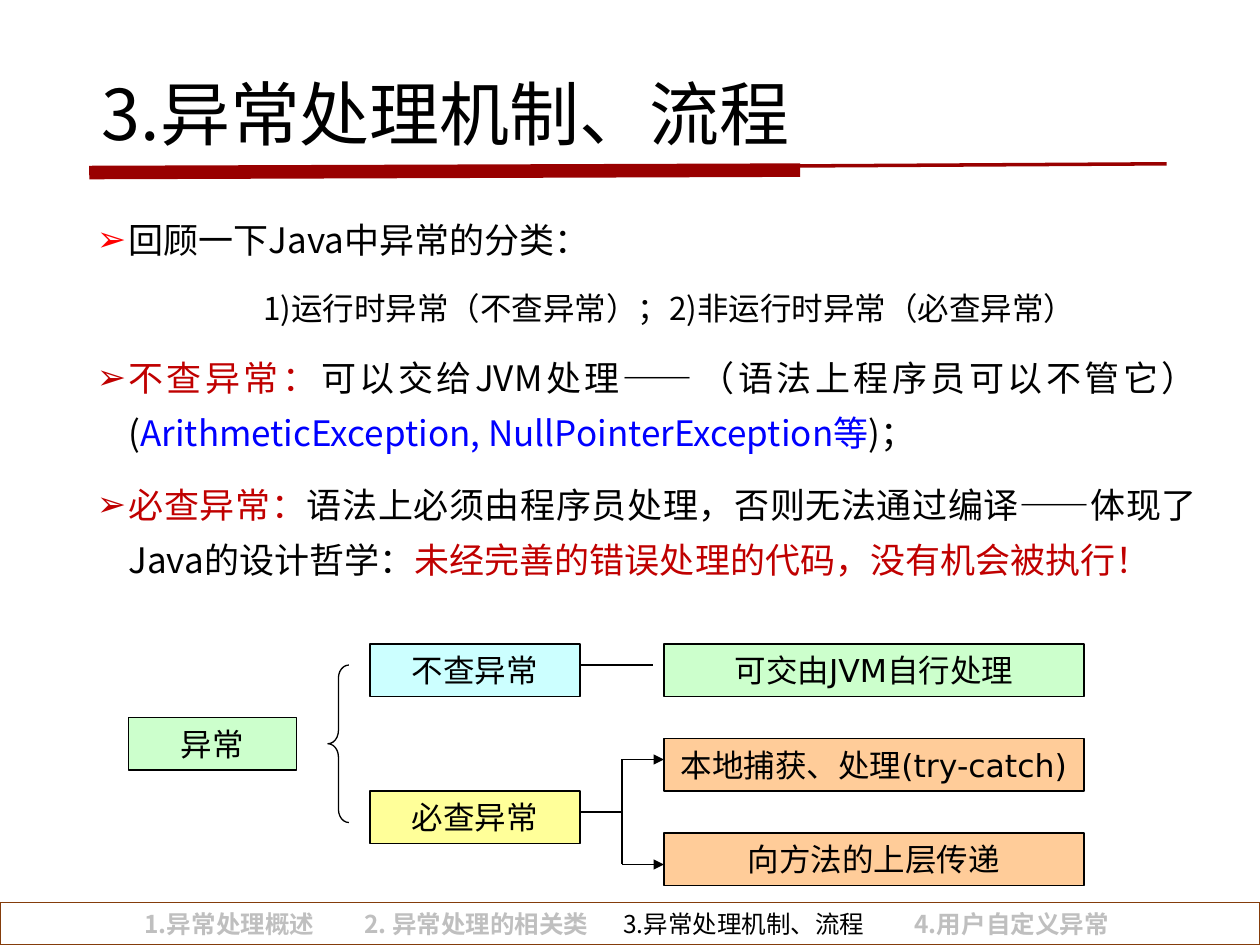
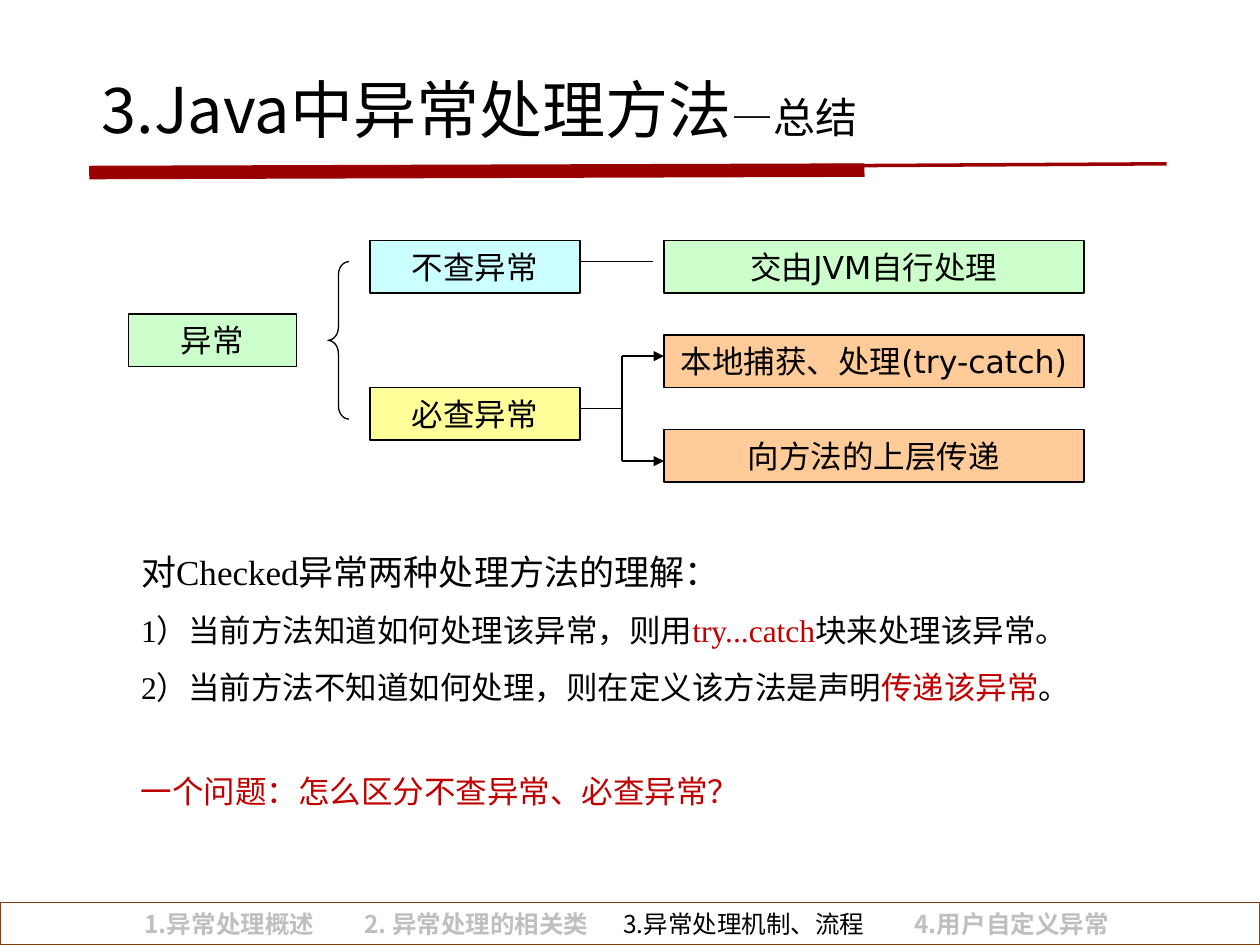
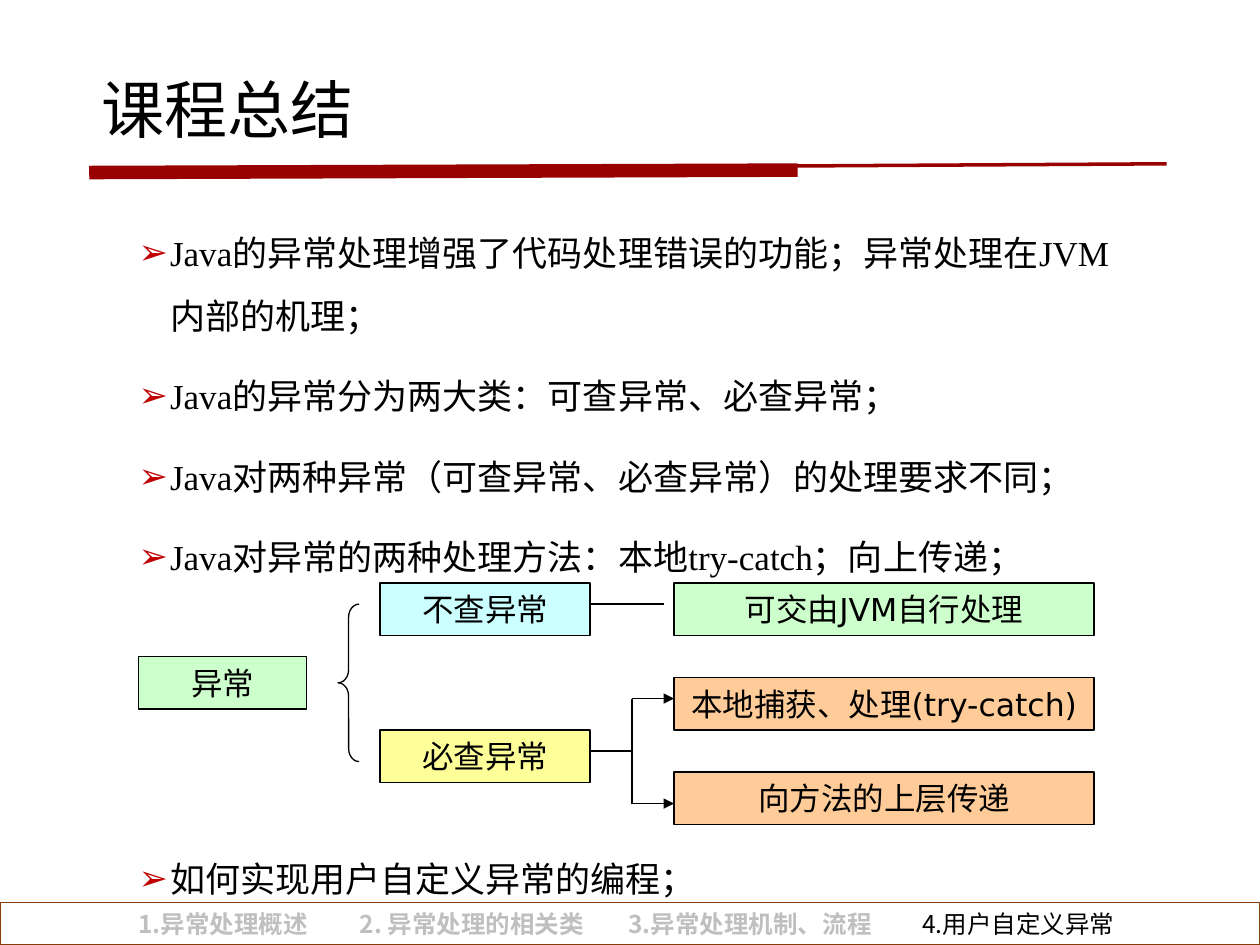
from lxml.etree import SubElement
from pptx import Presentation
from pptx.dml.color import RGBColor
from pptx.enum.shapes import MSO_CONNECTOR as Connector, MSO_SHAPE as Shape
from pptx.enum.text import MSO_ANCHOR as Anchor, MSO_AUTO_SIZE as AutoSize, PP_ALIGN as Align
from pptx.oxml.ns import qn
from pptx.util import Pt

COLORS = {
    "black": "000000", "rule": "990000", "accent": "C00000", "bullet": "FF0000",
    "blue": "0000FF", "muted": "BFBFBF", "footer": "843C0B",
    "green": "CCFFCC", "cyan": "CCFFFF", "yellow": "FFFF99", "orange": "FFCC99",
}
SANS, SERIF, BOX_FONT = "Noto Sans CJK SC", "Times New Roman", "DejaVu Sans"

CHAPTERS = ["1.异常处理概述", "2. 异常处理的相关类", "3.异常处理机制、流程", "4.用户自定义异常"]
# Left edge of the first chapter, then tab stops measured from it
CHAPTER_STOPS = {2: (82.6, [125.5, 273.5, 440]), 3: (79, [126.5, 280, 448])}

# Diagram positions are relative to its top left corner
BOX_HEIGHT = 30
BRANCH_X, OUTCOME_X, FORK_X = 138, 306, 282
LINKS = [
    (258, 12, 300, 12, False),
    (258, 96, FORK_X, 96, False),
    (FORK_X, 66, FORK_X, 126, False),
    (FORK_X, 66, OUTCOME_X, 66, True),
    (FORK_X, 126, OUTCOME_X, 126, True),
]

PLAIN = {"left": 0, "indent": 0}
BULLET = {"left": 18, "indent": -18, "bullet": "accent"}

# Each body paragraph is (format, size, runs); each run is (text, colour)
SLIDES = [
    {
        "title": [("3.异常处理机制、流程", 40)], "rule_end": 457.2, "chapter": 2,
        "diagram": (73.4, 368), "jvm": "可交由JVM自行处理",
        "body_box": (48.2, 113.8, 643, 226.8), "font": SANS,
        "body_format": {"line_spacing": 1.3, "space_before": Pt(10), "alignment": Align.JUSTIFY},
        "body": [
            ({**BULLET, "bullet": "bullet"}, 20, [("回顾一下Java中异常的分类：", "black")]),
            ({"left": 95, "indent": 0}, 18,
             [("1)运行时异常（不查异常）；2)非运行时异常（必查异常）", "black")]),
            (BULLET, 20, [
                ("不查异常：", "accent"),
                ("可以交给JVM处理——（语法上程序员可以不管它）(", "black"),
                ("ArithmeticException, NullPointerException等", "blue"),
                (")；", "black")]),
            (BULLET, 20, [
                ("必查异常：", "accent"),
                ("语法上必须由程序员处理，否则无法通过编译——体现了Java的设计哲学：", "black"),
                ("未经完善的错误处理的代码，没有机会被执行！", "accent")]),
        ],
    },
    {
        "title": [("3.Java中异常处理方法", 36), ("—总结", 24)], "rule_end": 494, "chapter": 2,
        "diagram": (73.4, 137.5), "jvm": "交由JVM自行处理",
        "body_box": (73.4, 298.8, 572.4, 120), "font": SERIF,
        "body_format": {"line_spacing": 1.5, "space_before": Pt(0), "alignment": Align.LEFT},
        "body": [
            (PLAIN, 20, [("对Checked异常两种处理方法的理解：", "black")]),
            (PLAIN, 18, [
                ("1）当前方法知道如何处理该异常，则用", "black"),
                ("try...catch", "accent"),
                ("块来处理该异常。", "black")]),
            (PLAIN, 18, [
                ("2）当前方法不知道如何处理，则在定义该方法是声明", "black"),
                ("传递该异常", "accent"),
                ("。", "black")]),
        ],
        "question": "一个问题：怎么区分不查异常、必查异常？",
    },
    {
        "title": [("课程总结", 36)], "rule_end": 455.8, "chapter": 3,
        "diagram": (79.2, 333.2), "jvm": "可交由JVM自行处理",
        "body_box": (72, 116.6, 587.5, 405.4), "font": SERIF,
        "body_format": {"line_spacing": 1.5, "space_before": Pt(10), "alignment": Align.LEFT},
        "body": [
            (BULLET, 20, [("Java的异常处理增强了代码处理错误的功能；异常处理在JVM内部的机理；", "black")]),
            (BULLET, 20, [("Java的异常分为两大类：可查异常、必查异常；", "black")]),
            (BULLET, 20, [("Java对两种异常（可查异常、必查异常）的处理要求不同；", "black")]),
            (BULLET, 20, [("Java对异常的两种处理方法：本地try-catch；向上传递；", "black")]),
            ({**BULLET, "gap": 148}, 20, [("如何实现用户自定义异常的编程；", "black")]),
        ],
    },
]


def add_run(paragraph, text, font_name, size, color, bold=False):
    run = paragraph.add_run()
    run.text = text
    for name, value in {"name": font_name, "size": Pt(size), "bold": bold}.items():
        setattr(run.font, name, value)
    run.font.color.rgb = RGBColor.from_string(COLORS[color])
    SubElement(run.font._element, qn("a:ea"), typeface=SANS)


def add_line(shapes, start_x, start_y, end_x, end_y, color, width, arrow=False):
    line = shapes.add_connector(
        Connector.STRAIGHT, Pt(start_x), Pt(start_y), Pt(end_x), Pt(end_y))
    line.line.color.rgb = RGBColor.from_string(COLORS[color])
    line.line.width = Pt(width)
    if arrow:
        SubElement(line.line._get_or_add_ln(), qn("a:tailEnd"), type="triangle")
    SubElement(line._element.spPr, qn("a:effectLst"))


presentation = Presentation()
presentation.slide_width, presentation.slide_height = Pt(720), Pt(540)

for content in SLIDES:
    slide = presentation.slides.add_slide(presentation.slide_layouts[1])
    title, body = slide.placeholders
    for placeholder, box in ((title, (51, 36.7, 620, 55.4)), (body, content["body_box"])):
        for name, value in zip(("left", "top", "width", "height"), box):
            setattr(placeholder, name, Pt(value))
        frame_format = {"vertical_anchor": Anchor.TOP, "word_wrap": True, "auto_size": AutoSize.NONE}
        for name, value in frame_format.items():
            setattr(placeholder.text_frame, name, value)

    # Title and the tapering rule under it
    paragraph = title.text_frame.paragraphs[0]
    paragraph.alignment = Align.LEFT
    for text, size in content["title"]:
        add_run(paragraph, text, SANS, size, "black")
    add_line(slide.shapes, 51, 97.2, 666.7, 93.6, "rule", 2)
    add_line(slide.shapes, 51, 98.6, content["rule_end"], 97.2, "rule", 7.75)

    # Body text
    for index, (layout, size, runs) in enumerate(content["body"]):
        frame = body.text_frame
        paragraph = frame.add_paragraph() if index else frame.paragraphs[0]
        for name, value in content["body_format"].items():
            setattr(paragraph, name, value)
        if "gap" in layout:
            paragraph.space_before = Pt(layout["gap"])
        properties = paragraph._p.get_or_add_pPr()
        properties.set("marL", str(Pt(layout["left"])))
        properties.set("indent", str(Pt(layout["indent"])))
        if "bullet" in layout:
            bullet_color = SubElement(properties, qn("a:buClr"))
            SubElement(bullet_color, qn("a:srgbClr"), val=COLORS[layout["bullet"]])
            SubElement(properties, qn("a:buChar"), char="➢")
        else:
            SubElement(properties, qn("a:buNone"))
        for text, color in runs:
            add_run(paragraph, text, content["font"], size, color)

    if "question" in content:
        question = slide.shapes.add_textbox(Pt(73.4), Pt(427), Pt(360), Pt(36))
        question.text_frame.word_wrap = False
        paragraph = question.text_frame.paragraphs[0]
        paragraph.line_spacing = 1.5
        add_run(paragraph, content["question"], SERIF, 18, "accent")

    # Exception diagram
    left, top = content["diagram"]
    diagram = slide.shapes.add_group_shape().shapes
    boxes = [
        ("异常", 0, 42, 96, "green"),
        ("不查异常", BRANCH_X, 0, 120, "cyan"),
        ("必查异常", BRANCH_X, 84, 120, "yellow"),
        (content["jvm"], OUTCOME_X, 0, 240, "green"),
        ("本地捕获、处理(try-catch)", OUTCOME_X, 54, 240, "orange"),
        ("向方法的上层传递", OUTCOME_X, 108, 240, "orange"),
    ]
    for text, x, y, width, fill in boxes:
        box = diagram.add_shape(
            Shape.RECTANGLE, Pt(left + x), Pt(top + y), Pt(width), Pt(BOX_HEIGHT))
        box.shadow.inherit = False
        box.fill.solid()
        box.fill.fore_color.rgb = RGBColor.from_string(COLORS[fill])
        box.line.color.rgb = RGBColor.from_string(COLORS["black"])
        box.line.width = Pt(0.75)
        box.text_frame.word_wrap = False
        box.text_frame.vertical_anchor = Anchor.MIDDLE
        paragraph = box.text_frame.paragraphs[0]
        paragraph.alignment = Align.CENTER
        add_run(paragraph, text, BOX_FONT, 18, "black")
    brace = diagram.add_shape(Shape.LEFT_BRACE, Pt(left + 114), Pt(top + 12), Pt(12), Pt(90))
    brace.adjustments[0] = 0.625
    brace.shadow.inherit = False
    brace.fill.background()
    brace.line.color.rgb = RGBColor.from_string(COLORS["black"])
    brace.line.width = Pt(0.75)
    for start_x, start_y, end_x, end_y, arrow in LINKS:
        add_line(diagram, left + start_x, top + start_y, left + end_x, top + end_y,
                 "black", 0.75, arrow)

    # Chapter footer with the current chapter highlighted
    footer = slide.shapes.add_shape(Shape.RECTANGLE, Pt(0), Pt(515.8), Pt(720), Pt(24.2))
    footer.shadow.inherit = False
    footer.fill.background()
    footer.line.color.rgb = RGBColor.from_string(COLORS["footer"])
    footer.line.width = Pt(0.75)
    first_left, stops = CHAPTER_STOPS[content["chapter"]]
    footer.text_frame.margin_left = Pt(first_left)
    footer.text_frame.vertical_anchor = Anchor.TOP
    paragraph = footer.text_frame.paragraphs[0]
    paragraph.alignment = Align.LEFT
    tabs = SubElement(paragraph._p.get_or_add_pPr(), qn("a:tabLst"))
    for stop in stops:
        SubElement(tabs, qn("a:tab"), pos=str(Pt(stop)), algn="l")
    for index, chapter in enumerate(CHAPTERS):
        current = index == content["chapter"]
        add_run(paragraph, ("\t" if index else "") + chapter, SANS, 14,
                "black" if current else "muted", bold=not current)

presentation.save("out.pptx")
